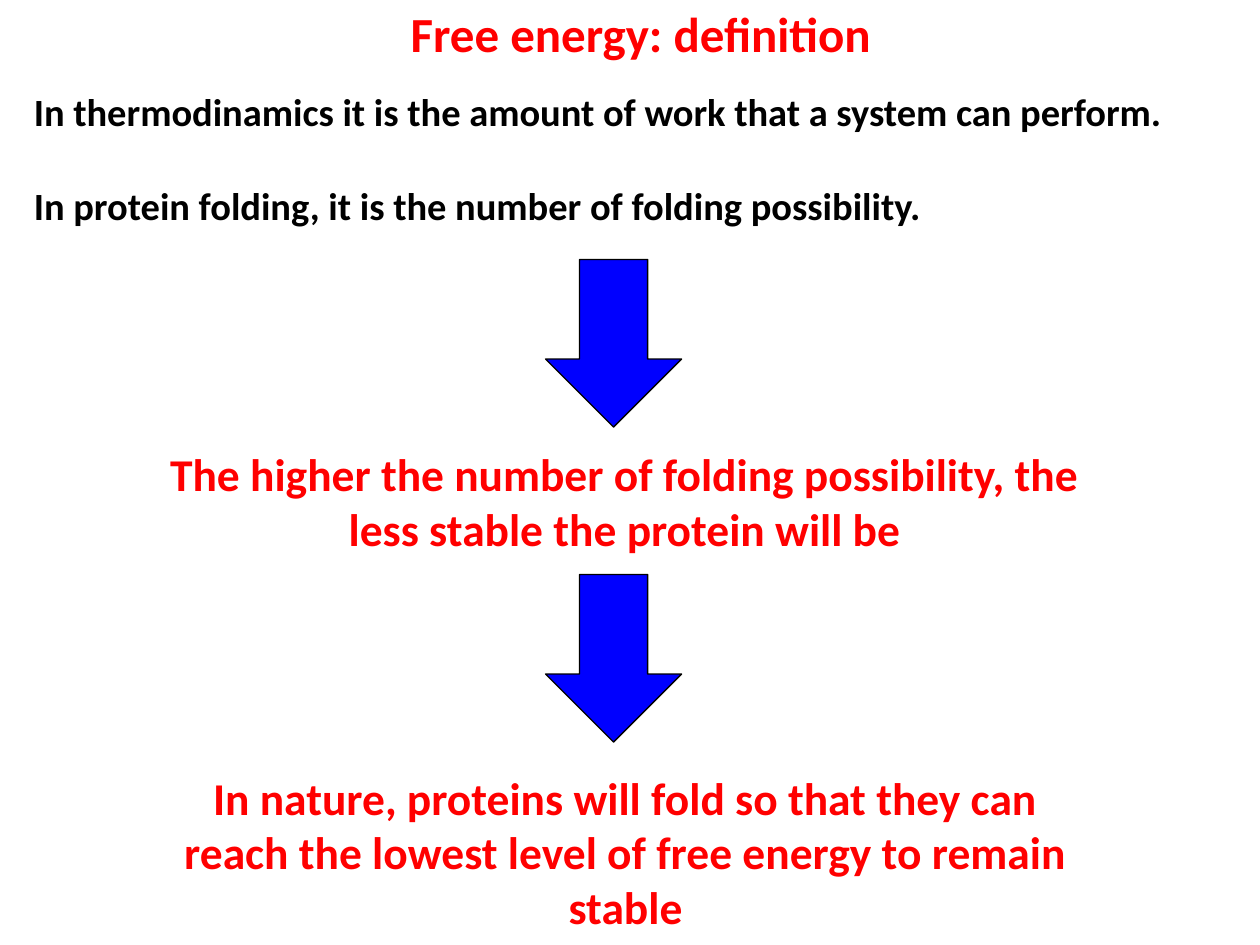
from pptx import Presentation
from pptx import util as u
from pptx.dml.color import RGBColor
from pptx.enum import shapes, text

RED, BLACK, BLUE = "FF0000", "000000", "0000FF"
LEFT, CENTER = text.PP_ALIGN.LEFT, text.PP_ALIGN.CENTER


def color(hex_value):
    return RGBColor.from_string(hex_value)


def place(shape, left, top, width, height):
    shape.left, shape.top = u.Inches(left), u.Inches(top)
    shape.width, shape.height = u.Inches(width), u.Inches(height)


def write(frame, *paragraphs, size=26, hue=RED, align=CENTER, gap=0, wrap=True):
    """Fill a text frame with bold paragraphs, separated by gap points."""
    frame.word_wrap = wrap
    frame.auto_size = text.MSO_AUTO_SIZE.NONE
    frame.vertical_anchor = text.MSO_ANCHOR.TOP
    for index, words in enumerate(paragraphs):
        paragraph = frame.add_paragraph() if index else frame.paragraphs[0]
        paragraph.alignment = align
        paragraph.space_before = u.Pt(gap if index else 0)
        run = paragraph.add_run()
        run.text = words
        run.font.name, run.font.size, run.font.bold = "Calibri", u.Pt(size), True
        run.font.color.rgb = color(hue)


def add_text(slide, box, *paragraphs, **style):
    textbox = slide.shapes.add_textbox(*map(u.Inches, box))
    write(textbox.text_frame, *paragraphs, **style)


def add_down_arrow(slide, top):
    arrow = slide.shapes.add_shape(
        shapes.MSO_SHAPE.DOWN_ARROW,
        u.Inches(4.33), u.Inches(top), u.Inches(1.08), u.Inches(1.33))
    arrow.shadow.inherit = False
    arrow.fill.solid()
    arrow.fill.fore_color.rgb = color(BLUE)
    arrow.line.color.rgb = color(BLACK)
    arrow.line.width = u.Pt(0.75)


def main():
    deck = Presentation()
    deck.slide_width, deck.slide_height = u.Inches(10), u.Inches(7.5)
    slide = deck.slides.add_slide(deck.slide_layouts[5])

    # Title
    title = slide.shapes.title
    place(title, 3.08, -0.02, 4.01, 0.57)
    write(title.text_frame, "Free energy: definition", size=28, wrap=False)

    # Definitions, one line apart
    add_text(slide, (0.17, 0.65, 9.75, 1.21),
             "In thermodinamics it is the amount of work that a system can perform.",
             "In protein folding, it is the number of folding possibility.",
             size=22, hue=BLACK, align=LEFT, gap=27)

    # Consequences, each below its arrow
    add_text(slide, (1, 3.49, 7.92, 0.98),
             "The higher the number of folding possibility, the less stable "
             "the protein will be")
    for top in (2.06, 4.56):
        add_down_arrow(slide, top)
    add_text(slide, (1.26, 6.06, 7.41, 1.41),
             "In nature, proteins will fold so that they can reach the lowest "
             "level of free energy to remain stable")

    deck.save("out.pptx")


if __name__ == "__main__":
    main()
